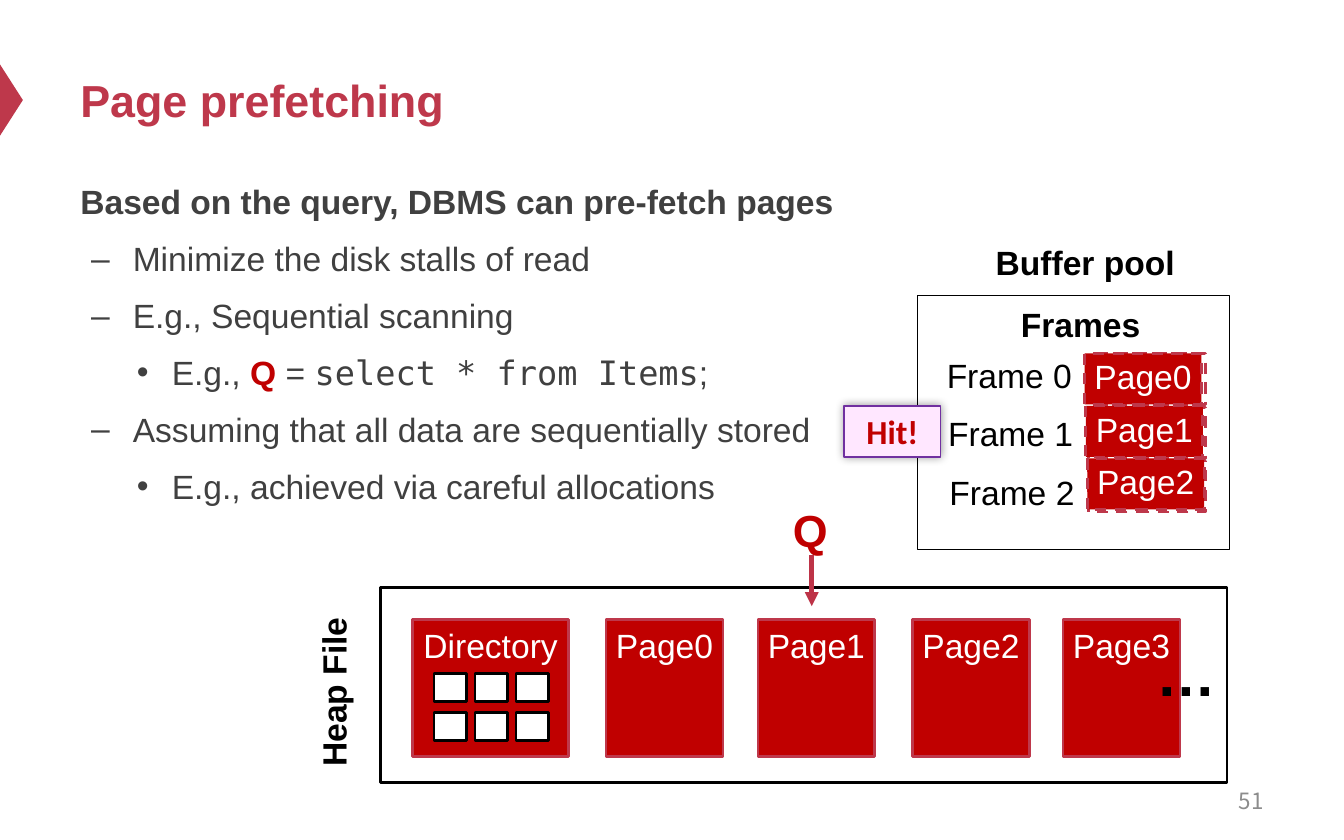
from lxml import etree
from pptx import Presentation
from pptx.dml.color import RGBColor
from pptx.enum.dml import MSO_LINE
from pptx.enum.shapes import MSO_CONNECTOR, MSO_SHAPE
from pptx.enum.text import MSO_ANCHOR, PP_ALIGN
from pptx.oxml.ns import qn
from pptx.util import Inches, Pt

CRIMSON = RGBColor(0xBE, 0x38, 0x4B)
ARROW_RED = RGBColor(0xBD, 0x33, 0x47)
RED = RGBColor(0xC0, 0x00, 0x00)
DARK_GRAY = RGBColor(0x40, 0x40, 0x40)
GRAY = RGBColor(0x8C, 0x8C, 0x8C)
BLACK = RGBColor(0x00, 0x00, 0x00)
WHITE = RGBColor(0xFF, 0xFF, 0xFF)
PINK = RGBColor(0xFF, 0xE7, 0xFF)
PURPLE = RGBColor(0x70, 0x30, 0xA0)

# (marker, text indent, hanging indent) for each level
LEVELS = [None, ("–", 0.39, 0.31), ("•", 0.68, 0.26)]
BODY = [
    (0, ["Based on the query, DBMS can pre-fetch pages"]),
    (1, ["Minimize the disk stalls of read"]),
    (1, ["E.g., Sequential scanning"]),
    (2, ["E.g., ", "Q", " = ", "select * from Items", ";"]),
    (1, ["Assuming that all data are sequentially stored"]),
    (2, ["E.g., achieved via careful allocations"]),
]


def style_font(font, size=18, color=BLACK, bold=False, name="Arial"):
    font.name, font.size, font.bold = name, Pt(size), bold
    font.color.rgb = color


def add_text(slide, box, text, align=PP_ALIGN.CENTER, anchor=MSO_ANCHOR.TOP,
             wrap=False, **font):
    shape = slide.shapes.add_textbox(*map(Inches, box))
    frame = shape.text_frame
    frame.word_wrap, frame.vertical_anchor = wrap, anchor
    paragraph = frame.paragraphs[0]
    paragraph.text, paragraph.alignment = text, align
    style_font(paragraph.font, **font)
    return shape


def add_box(slide, box, fill=None, line=None, width=1.5, dashed=False,
            kind=MSO_SHAPE.RECTANGLE):
    shape = slide.shapes.add_shape(kind, *map(Inches, box))
    shape.shadow.inherit = False
    if fill is None:
        shape.fill.background()
    else:
        shape.fill.solid()
        shape.fill.fore_color.rgb = fill
    if line is None:
        shape.line.fill.background()
    else:
        shape.line.color.rgb = line
        shape.line.width = Pt(width)
        if dashed:
            shape.line.dash_style = MSO_LINE.DASH
    return shape


def add_page(slide, box, label, dashed=False):
    left, top, width, _ = box
    add_box(slide, box, RED, CRIMSON, dashed=dashed)
    add_text(slide, (left - 0.03, top - 0.03 if dashed else top - 0.01, width + 0.06, 0.4),
             label, color=WHITE)


def add_header(slide, box):
    marker = add_box(slide, (-0.18, 0.66, 0.53, 0.17), CRIMSON,
                     kind=MSO_SHAPE.ISOSCELES_TRIANGLE)
    marker.rotation = 90
    add_text(slide, box, "Page prefetching", PP_ALIGN.LEFT, MSO_ANCHOR.MIDDLE,
             wrap=True, size=24, color=CRIMSON, bold=True)


def set_bullet(paragraph, marker, indent, hanging):
    properties = paragraph._p.get_or_add_pPr()
    properties.set("marL", str(Inches(indent)))
    properties.set("indent", str(-Inches(hanging)))
    etree.SubElement(properties, qn("a:buFont"), typeface="Arial")
    etree.SubElement(properties, qn("a:buChar"), char=marker)


def add_body(slide, box):
    frame = slide.shapes.add_textbox(*map(Inches, box)).text_frame
    frame.word_wrap = True
    for index, (level, pieces) in enumerate(BODY):
        paragraph = frame.add_paragraph() if index else frame.paragraphs[0]
        paragraph.line_spacing = 1.2
        if level:
            paragraph.space_before = Pt(4.6)
            set_bullet(paragraph, *LEVELS[level])
        style_font(paragraph.font, color=DARK_GRAY, bold=level == 0)
        for piece in pieces:
            run = paragraph.add_run()
            run.text = piece
            if piece == "Q":
                run.font.bold = True
                run.font.color.rgb = RED
            elif piece.startswith("select"):
                run.font.name = "DejaVu Sans Mono"


def add_heap_file(slide, box):
    left, top, _, _ = box
    add_box(slide, box, line=BLACK)
    add_text(slide, (left - 1.01, top + 0.58, 1.32, 0.4), "Heap File",
             bold=True).rotation = 270
    page_top = top + 0.24
    add_page(slide, (left + 0.24, page_top, 1.16, 1.02), "Directory")
    for number, offset in enumerate((1.68, 2.81, 3.96, 5.08)):
        add_page(slide, (left + offset, page_top, 0.87, 1.02), f"Page{number}")
    add_text(slide, (left + 5.67, top + 0.32, 0.65, 0.64), "…", size=32, bold=True)
    for row in range(2):
        for column in range(3):
            add_box(slide, (left + 0.4 + column * 0.305, top + 0.64 + row * 0.29,
                            0.24, 0.21), WHITE, BLACK)


def add_buffer_pool(slide, box):
    left, top, width, _ = box
    add_text(slide, (left + 0.47, top - 0.45, 1.55, 0.4), "Buffer pool", bold=True)
    add_text(slide, (left + 0.66, top + 0.01, 1.1, 0.4), "Frames", bold=True)
    for number in range(3):
        add_box(slide, (left + 1.27, top + 0.43 + number * 0.4, 0.87, 0.38),
                line=CRIMSON, dashed=True)
        add_text(slide, (left + 0.11 + number * 0.01, top + 0.39 + number * 0.435,
                         1.14, 0.4), f"Frame {number}")
    add_box(slide, box, line=BLACK, width=0.5)
    for number in range(3):
        add_page(slide, (left + 1.24 + number * 0.01, top + 0.43 + number * 0.39,
                         0.87, 0.38), f"Page{number}", dashed=True)


def add_query_pointer(slide, box):
    left, top, _, height = box
    add_text(slide, box, "Q", size=24, color=RED, bold=True)
    x, start = Inches(left + 0.24), top + height - 0.06
    arrow = slide.shapes.add_connector(MSO_CONNECTOR.STRAIGHT, x, Inches(start),
                                       x, Inches(start + 0.38))
    arrow.line.color.rgb = ARROW_RED
    arrow.line.width = Pt(2.5)
    etree.SubElement(arrow.line._get_or_add_ln(), qn("a:tailEnd"), type="triangle")
    etree.SubElement(arrow._element.spPr, qn("a:effectLst"))


def add_hit_label(slide, box):
    shape = add_box(slide, box, PINK, PURPLE, 0.75)
    effects = shape._element.spPr.find(qn("a:effectLst"))
    shadow = etree.SubElement(effects, qn("a:outerShdw"), blurRad=str(Pt(5)), dist="0")
    color = etree.SubElement(shadow, qn("a:srgbClr"), val=str(BLACK))
    etree.SubElement(color, qn("a:alpha"), val="40000")
    frame = shape.text_frame
    frame.margin_left = frame.margin_right = Inches(0.12)
    frame.margin_top = frame.margin_bottom = Inches(0.04)
    frame.vertical_anchor = MSO_ANCHOR.TOP
    paragraph = frame.paragraphs[0]
    paragraph.text, paragraph.alignment = "Hit!", PP_ALIGN.CENTER
    style_font(paragraph.font, color=RED, bold=True, name="Calibri")


def main():
    presentation = Presentation()
    presentation.slide_width, presentation.slide_height = Inches(10), Inches(6.25)
    slide = presentation.slides.add_slide(presentation.slide_layouts[6])
    add_header(slide, (0.5, 0.25, 9, 0.98))
    add_body(slide, (0.5, 1.24, 9, 2.75))
    add_text(slide, (7.17, 5.79, 2.33, 0.33), "51", PP_ALIGN.RIGHT, MSO_ANCHOR.MIDDLE,
             wrap=True, size=12, color=GRAY, name="Noto Sans CJK SC")
    add_heap_file(slide, (2.83, 4.37, 6.3, 1.45))
    add_buffer_pool(slide, (6.83, 2.2, 2.32, 1.89))
    add_query_pointer(slide, (5.8, 3.69, 0.46, 0.5))
    add_hit_label(slide, (6.28, 3.02, 0.72, 0.38))
    presentation.save("out.pptx")


if __name__ == "__main__":
    main()
